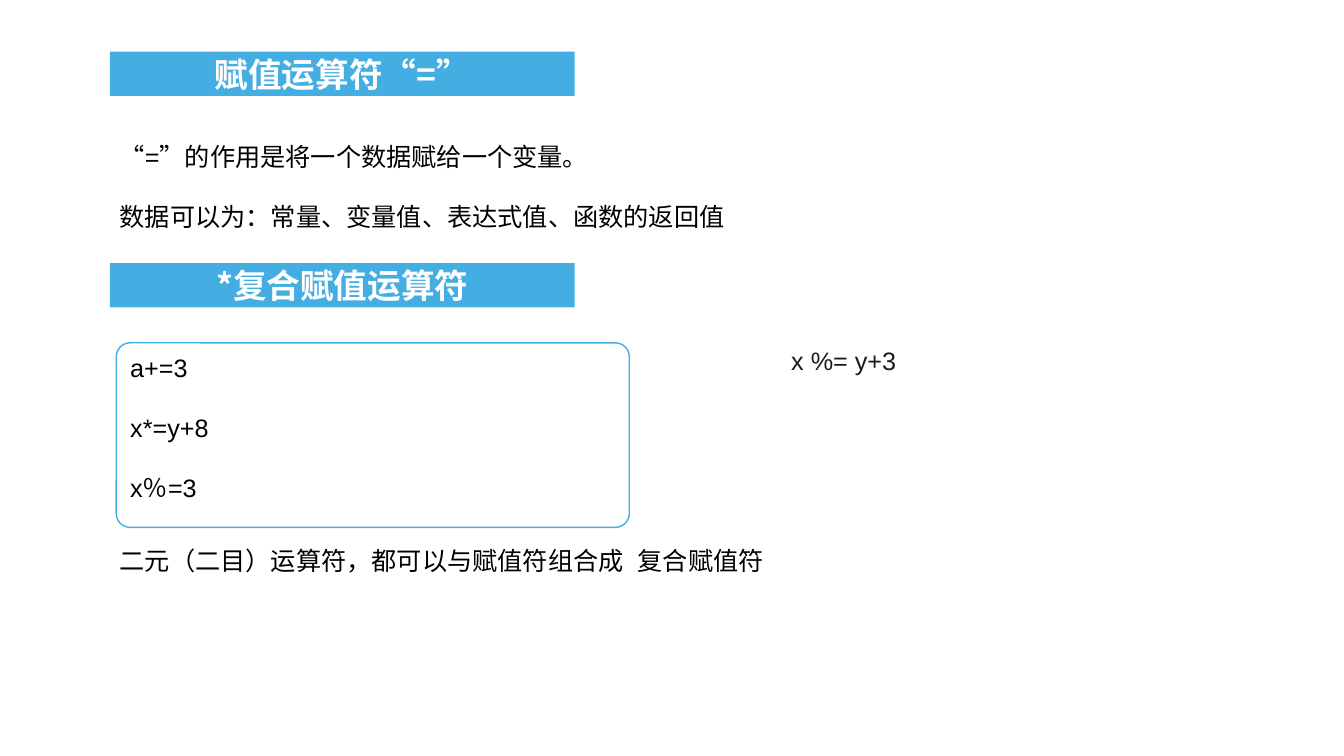
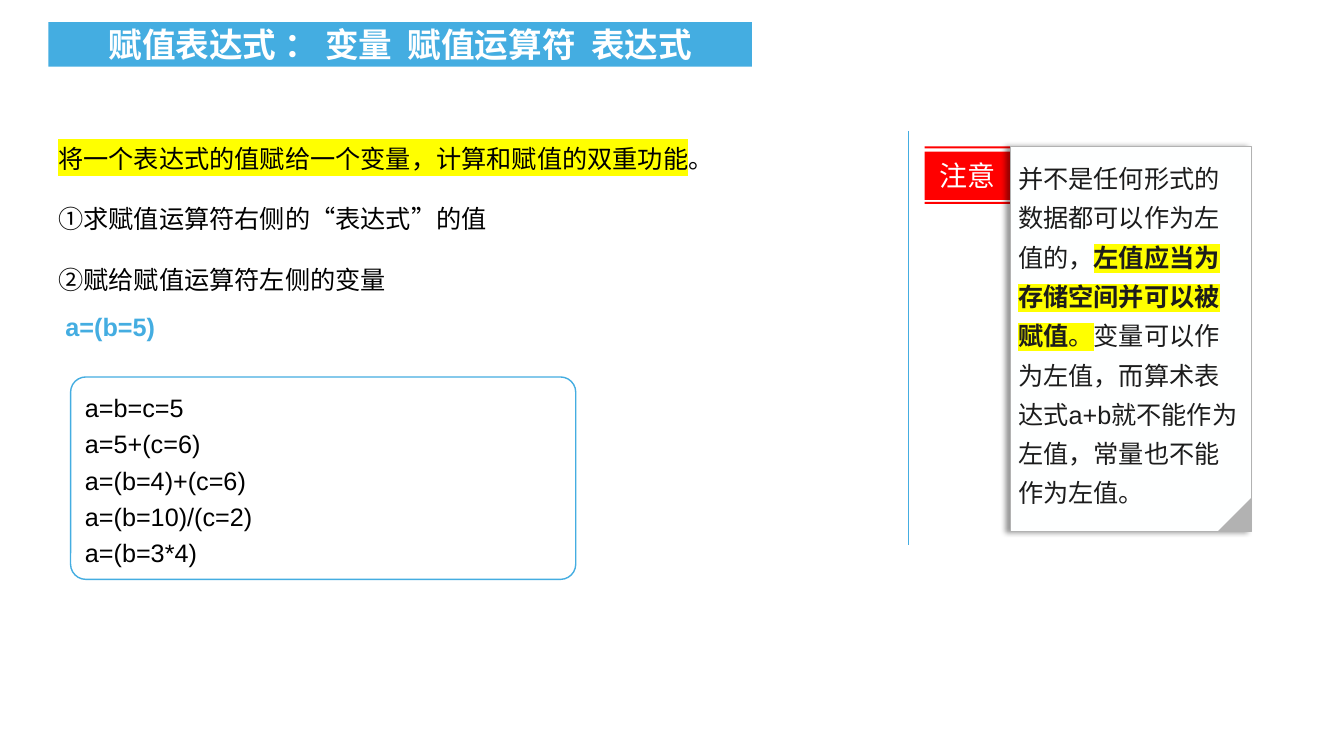
import lxml.etree
import pptx
import pptx.dml.color
import pptx.enum.shapes
import pptx.enum.text
import pptx.oxml
import pptx.oxml.ns
import pptx.util

Cm = pptx.util.Cm
Pt = pptx.util.Pt
SHAPE = pptx.enum.shapes.MSO_SHAPE
ALIGN = pptx.enum.text.PP_ALIGN
ANCHOR = pptx.enum.text.MSO_ANCHOR

BLUE = "44ADE1"
BLACK = "000000"
INK = "1C1C1C"
PAPER = "FEFFFF"
WHITE = "FFFFFF"
GRAY = "B2B2B2"
RED = "FF0000"
YELLOW = "FFFF00"
BODY_FONT = "Arial"
TITLE_FONT = "Noto Sans CJK SC"
BAND_HEIGHT = 1.12
DOUBLE_SPACING = Pt(43.2)


def color(value):
    return pptx.dml.color.RGBColor.from_string(value)


def qn(name):
    return pptx.oxml.ns.qn(name)


def paint(shape, fill, line=None, weight=1):
    shape.shadow.inherit = False
    shape.fill.solid()
    shape.fill.fore_color.rgb = color(fill)
    if line:
        shape.line.color.rgb = color(line)
        shape.line.width = Pt(weight)
    else:
        shape.line.fill.background()


def set_margins(frame, side, top):
    frame.margin_left = frame.margin_right = Cm(side)
    frame.margin_top = frame.margin_bottom = Cm(top)


def style_span(span, size, ink, bold=False, font=BODY_FONT, asian=None, highlight=None):
    span.font.size = Pt(size)
    span.font.bold = bold
    span.font.color.rgb = color(ink)
    span.font.name = font
    properties = span.font._element
    east_asian = lxml.etree.Element(qn("a:ea"), typeface=asian or font)
    properties.find(qn("a:latin")).addnext(east_asian)
    if highlight:
        marker = lxml.etree.Element(qn("a:highlight"))
        lxml.etree.SubElement(marker, qn("a:srgbClr"), val=highlight)
        properties.find(qn("a:solidFill")).addnext(marker)


def style_text(frame, size=18, ink=BLACK, align=None, spacing=None, gap=0, **style):
    frame.word_wrap = True
    for index, para in enumerate(frame.paragraphs):
        para.alignment = align
        para.line_spacing = spacing
        if index and gap:
            para.space_before = Pt(gap)
        for span in para.runs:
            style_span(span, size, ink, **style)


def add_marked_spans(para, spans, ink, asian=None):
    for text, bold, highlight in spans:
        span = para.add_run()
        span.text = text
        style_span(span, 18, ink, bold, asian=asian, highlight=highlight)


def add_band(page, left, top, width, text):
    band = page.shapes.add_shape(
        SHAPE.RECTANGLE, Cm(left), Cm(top), Cm(width), Cm(BAND_HEIGHT))
    paint(band, BLUE)
    frame = band.text_frame
    set_margins(frame, 0, 0)
    frame.vertical_anchor = ANCHOR.MIDDLE
    frame.text = text
    style_text(frame, 24, WHITE, ALIGN.CENTER, bold=True, font=TITLE_FONT)


def add_text(page, left, top, width, height, text, **style):
    box = page.shapes.add_textbox(Cm(left), Cm(top), Cm(width), Cm(height))
    box.text_frame.text = text
    style_text(box.text_frame, **style)
    return box


def add_code_panel(page, left, top, width, height, lines, **style):
    panel = page.shapes.add_shape(
        SHAPE.ROUNDED_RECTANGLE, Cm(left), Cm(top), Cm(width), Cm(height))
    panel.adjustments[0] = 0.075
    paint(panel, WHITE, BLUE)
    frame = panel.text_frame
    frame.vertical_anchor = ANCHOR.TOP
    frame.text = "\n".join(lines)
    style_text(frame, align=ALIGN.JUSTIFY, **style)


def add_divider(page, x, top, bottom):
    divider = page.shapes.add_connector(
        pptx.enum.shapes.MSO_CONNECTOR.STRAIGHT, Cm(x), Cm(top), Cm(x), Cm(bottom))
    divider.line.color.rgb = color(BLUE)
    divider.line.width = Pt(0.5)
    lxml.etree.SubElement(divider._element.spPr, qn("a:effectLst"))


def add_flag(page, left, top, width, text):
    stripes = [(0, 0.05), (0.13, 1.35), (1.4, 1.45)]
    builder = page.shapes.build_freeform(Cm(left), Cm(top))
    for start, end in stripes:
        upper, lower = Cm(top + start), Cm(top + end)
        near, far = Cm(left), Cm(left + width)
        if start:
            builder.move_to(near, upper)
        builder.add_line_segments([(far, upper), (far, lower), (near, lower)], close=True)
    flag = builder.convert_to_shape()
    paint(flag, RED)
    flag.text_frame.vertical_anchor = ANCHOR.MIDDLE
    flag.text_frame.text = text
    style_text(flag.text_frame, 20, PAPER, ALIGN.CENTER)


def add_left_shadow(shape):
    effects = shape._element.spPr.find(qn("a:effectLst"))
    shadow = lxml.etree.SubElement(
        effects, qn("a:outerShdw"), blurRad=str(Pt(4)), dist=str(Pt(3)),
        dir="10800000", algn="r", rotWithShape="0")
    tint = lxml.etree.SubElement(shadow, qn("a:srgbClr"), val=BLACK)
    lxml.etree.SubElement(tint, qn("a:alpha"), val="40000")


def add_note(page, left, top, width, height, spans):
    note = page.shapes.add_shape(
        SHAPE.RECTANGLE, Cm(left), Cm(top), Cm(width), Cm(height))
    paint(note, PAPER, GRAY, 0.75)
    add_left_shadow(note)
    frame = note.text_frame
    frame.word_wrap = True
    frame.vertical_anchor = ANCHOR.TOP
    set_margins(frame, 0.2, 0.2)
    para = frame.paragraphs[0]
    para.alignment = ALIGN.LEFT
    para.line_spacing = 1.3
    add_marked_spans(para, spans, INK)

    fold = 0.84
    corner = page.shapes.add_shape(
        SHAPE.RIGHT_TRIANGLE, Cm(left + width - fold), Cm(top + height - fold),
        Cm(fold), Cm(fold))
    corner.rotation = 270
    paint(corner, GRAY)


def build_operators(page):
    left = 2.77
    add_band(page, left, 1.3, 11.71, "赋值运算符“=”")
    add_text(page, left, 2.67, 26.85, 3.1,
             "“=”的作用是将一个数据赋给一个变量。\n"
             "数据可以为：常量、变量值、表达式值、函数的返回值",
             spacing=DOUBLE_SPACING, asian=TITLE_FONT)
    add_band(page, left, 6.63, 11.71, "*复合赋值运算符")
    add_code_panel(page, 2.93, 8.64, 12.93, 4.65,
                   ["a+=3", "x*=y+8", "x％=3"], gap=21.5)
    add_text(page, left, 13.61, 16.94, 1.02,
             "二元（二目）运算符，都可以与赋值符组合成  复合赋值符")
    add_text(page, 19.69, 8.34, 5.87, 1.17, "x %= y+3", ink=INK, spacing=1.3)


def build_expressions(page):
    left = 1.22
    add_band(page, left, 0.56, 17.73, "赋值表达式 ： 变量  赋值运算符  表达式")
    steps = add_text(page, left, 2.72, 21.67, 4.65,
                     "\n①求赋值运算符右侧的“表达式”的值\n②赋给赋值运算符左侧的变量",
                     spacing=DOUBLE_SPACING, asian=TITLE_FONT)
    add_marked_spans(steps.text_frame.paragraphs[0], [
        ("将一个表达式的值赋给一个变量，计算和赋值的双重功能", False, YELLOW),
        ("。", False, None)], BLACK, TITLE_FONT)
    add_divider(page, 22.89, 3.3, 13.74)
    add_flag(page, 23.3, 3.69, 2.16, "注意")
    add_note(page, 25.46, 3.69, 6.07, 9.7, [
        ("并不是任何形式的数据都可以作为左值的，", False, None),
        ("左值应当为存储空间并可以被赋值", True, YELLOW),
        ("。", False, YELLOW),
        ("变量可以作为左值，而算术表达式a+b就不能作为左值，常量也不能作为左值。",
         False, None)])
    add_text(page, 1.4, 7.34, 16.94, 1.27, "a=(b=5)", ink=BLUE, bold=True, spacing=1.5)
    add_code_panel(page, 1.78, 9.5, 12.73, 5.1,
                   ["a=b=c=5", "a=5+(c=6)", "a=(b=4)+(c=6)", "a=(b=10)/(c=2)", "a=(b=3*4)"],
                   spacing=1.2)


def main():
    deck = pptx.Presentation()
    deck.slide_width = Cm(33.87)
    deck.slide_height = Cm(19.05)
    for build in (build_operators, build_expressions):
        build(deck.slides.add_slide(deck.slide_layouts[6]))
    deck.save("out.pptx")


if __name__ == "__main__":
    main()
